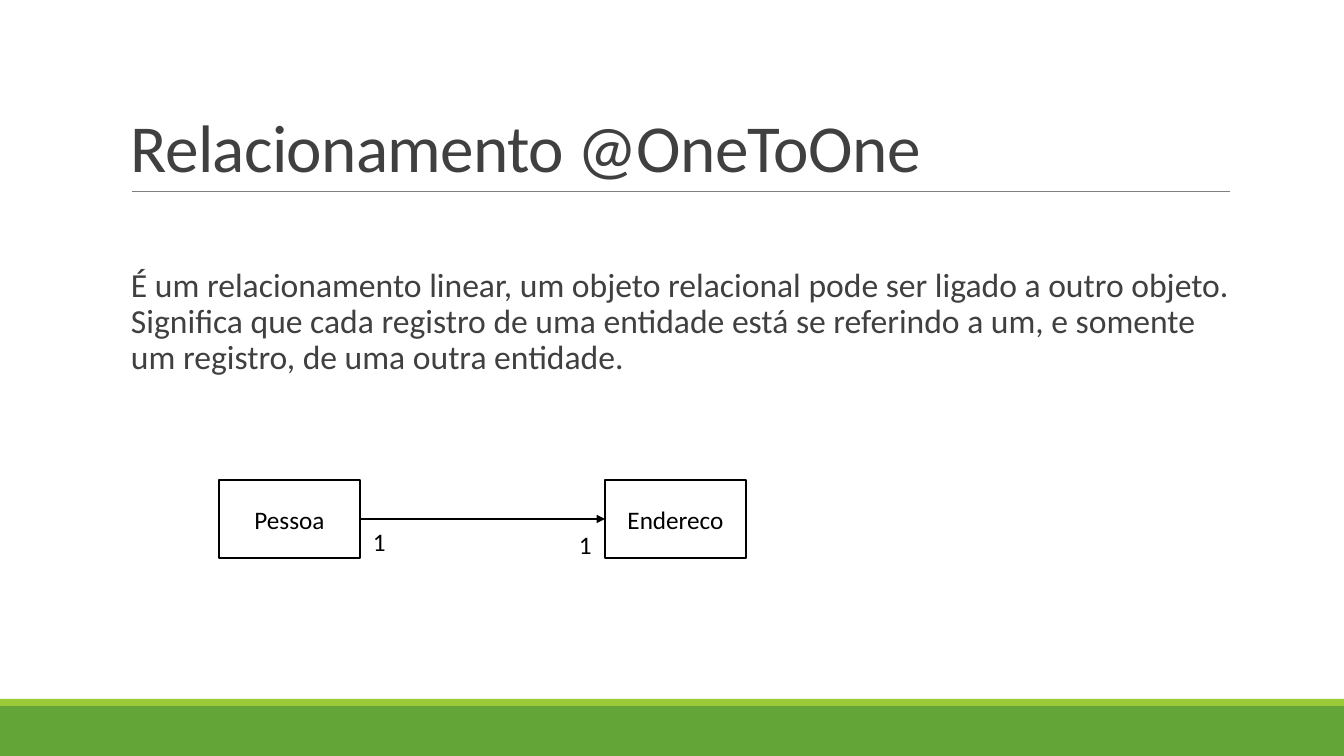
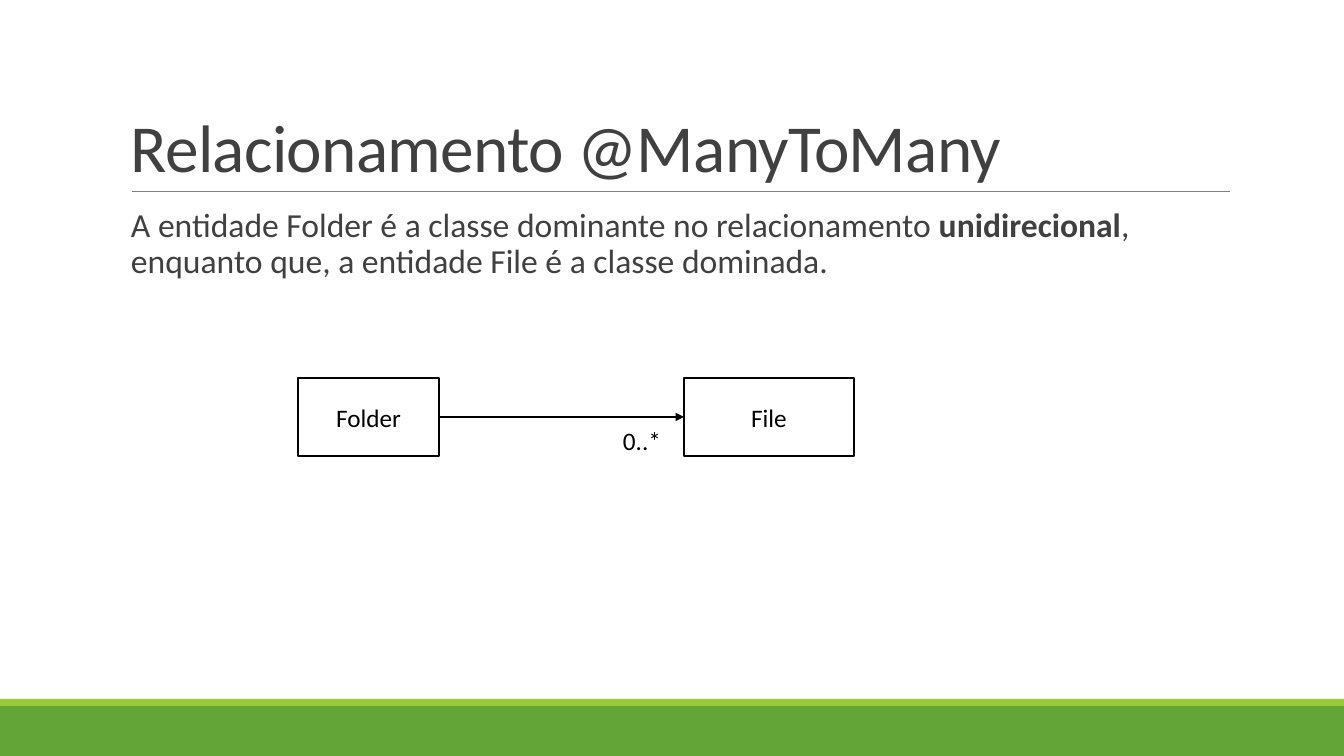
from lxml.etree import SubElement
from pptx import Presentation
from pptx.dml.color import RGBColor
from pptx.enum.shapes import MSO_CONNECTOR as Connector, MSO_SHAPE as Shape
from pptx.enum.text import MSO_ANCHOR as Anchor, PP_ALIGN as Align
from pptx.oxml.ns import qn
from pptx.util import Emu, Pt

WIDTH, HEIGHT = 1344, 756
LEFT, CONTENT_WIDTH = 121, 1109
INSET_X, INSET_Y = 10, 5
FONT = "Calibri"
WHITE, BLACK, INK, RULE = "FFFFFF", "000000", "404040", "808080"
GREEN, LIME = "63A537", "99CB38"
NODE_HEIGHT, NODE_GAP = 78, 245
RIGHT_SITE, LEFT_SITE = 3, 1


def px(length):
    """Turn pixels into EMU."""
    return Emu(round(length * 914400 / 100.8))


def paint(color_format, color):
    """Set a colour from its hex string."""
    color_format.rgb = RGBColor.from_string(color)


def write(holder, runs, size=18, color=BLACK, align=Align.LEFT, anchor=Anchor.TOP,
          line_spacing=1.0, tracking=0, wrap=True, top_inset=INSET_Y, right_inset=INSET_X):
    """Write one paragraph of (text, bold) runs into a shape."""
    frame = holder.text_frame
    frame.word_wrap = wrap
    frame.vertical_anchor = anchor
    frame.margin_left, frame.margin_right = px(INSET_X), px(right_inset)
    frame.margin_top, frame.margin_bottom = px(top_inset), px(INSET_Y)
    paragraph = frame.paragraphs[0]
    paragraph.alignment, paragraph.line_spacing = align, line_spacing
    for text, bold in runs:
        run = paragraph.add_run()
        run.text = text
        run.font.name, run.font.size, run.font.bold = FONT, Pt(size), bold
        paint(run.font.color, color)
        if tracking:
            run.font._element.set("spc", str(round(tracking * 100)))


def textbox(slide, box, runs, **style):
    """Add a text box with the given text format."""
    write(slide.shapes.add_textbox(*map(px, box)), runs, **style)


def rectangle(slide, box, fill, outline=None):
    """Add a flat rectangle."""
    shape = slide.shapes.add_shape(Shape.RECTANGLE, *map(px, box))
    shape.shadow.inherit = False
    shape.fill.solid()
    paint(shape.fill.fore_color, fill)
    if outline:
        shape.line.width = Pt(1.25)
        paint(shape.line.color, outline)
    else:
        shape.line.fill.background()
    return shape


def line(slide, start, end, color, width, arrow=False):
    """Add a straight line, with an arrowhead at its end on demand."""
    connector = slide.shapes.add_connector(Connector.STRAIGHT, *map(px, start + end))
    connector.line.width = Pt(width)
    paint(connector.line.color, color)
    if arrow:
        SubElement(connector.line._get_or_add_ln(), qn("a:tailEnd"), type="triangle")
    SubElement(connector._element.spPr, qn("a:effectLst"))
    return connector


def bands(slide, top):
    """Draw the two green bands from top to the foot of the slide."""
    stripe = 7
    rectangle(slide, (0, top + stripe, WIDTH, HEIGHT - top - stripe), GREEN)
    rectangle(slide, (0, top, WIDTH, stripe), LIME)


def heading(slide, box, title):
    """Write the title and the rule under it."""
    left, top, width, height = box
    bottom = top + height
    line(slide, (left + 11, bottom), (left + width, bottom), RULE, 0.5)
    textbox(slide, box, [(title, False)], size=48, color=INK, anchor=Anchor.BOTTOM,
            line_spacing=0.85, tracking=-0.5)


def relation(slide, left, top, nodes, labels):
    """Draw two joined entities with multiplicity labels placed from the corner."""
    entities = []
    node_left = left
    for name, width in nodes:
        entity = rectangle(slide, (node_left, top, width, NODE_HEIGHT), WHITE, BLACK)
        write(entity, [(name, False)], align=Align.CENTER, anchor=Anchor.MIDDLE)
        entities.append(entity)
        node_left += width + NODE_GAP
    middle = top + NODE_HEIGHT / 2
    start = left + nodes[0][1]
    arrow = line(slide, (start, middle), (start + NODE_GAP, middle), BLACK, 1, arrow=True)
    arrow.begin_connect(entities[0], RIGHT_SITE)
    arrow.end_connect(entities[1], LEFT_SITE)
    for text, across, down, width in labels:
        textbox(slide, (left + across, top + down, width, 40), [(text, False)], wrap=False)


def relation_slide(deck, title, body, diagram, body_drop=0):
    """Build one slide: bands, heading, explanation and entity diagram."""
    slide = deck.slides.add_slide(deck.slide_layouts[6])
    bands(slide, 699)
    heading(slide, (LEFT, 31, CONTENT_WIDTH, 160), title)
    textbox(slide, (LEFT, 203, CONTENT_WIDTH, 443), body, size=24, color=INK,
            line_spacing=0.9, top_inset=INSET_Y + body_drop, right_inset=0)
    relation(slide, **diagram)


def main():
    """Build and save the deck."""
    deck = Presentation()
    deck.slide_width, deck.slide_height = px(WIDTH), px(HEIGHT)
    relation_slide(
        deck, "Relacionamento @OneToOne",
        [("É um relacionamento linear, um objeto relacional pode ser ligado a outro objeto. "
          "Significa que cada registro de uma entidade está se referindo a um, e somente "
          "um registro, de uma outra entidade.", False)],
        dict(left=219, top=480, nodes=[("Pessoa", 141), ("Endereco", 141)],
             labels=[("1", 144, 41, 33), ("1", 350, 44, 33)]),
        body_drop=60)
    relation_slide(
        deck, "Relacionamento @ManyToMany",
        [("A entidade Folder é a classe dominante no relacionamento ", False),
         ("unidirecional", True),
         (", enquanto que, a entidade File é a classe dominada.", False)],
        dict(left=298, top=378, nodes=[("Folder", 141), ("File", 170)],
             labels=[("0..*", 315, 42, 58)]))
    deck.save("out.pptx")


main()
